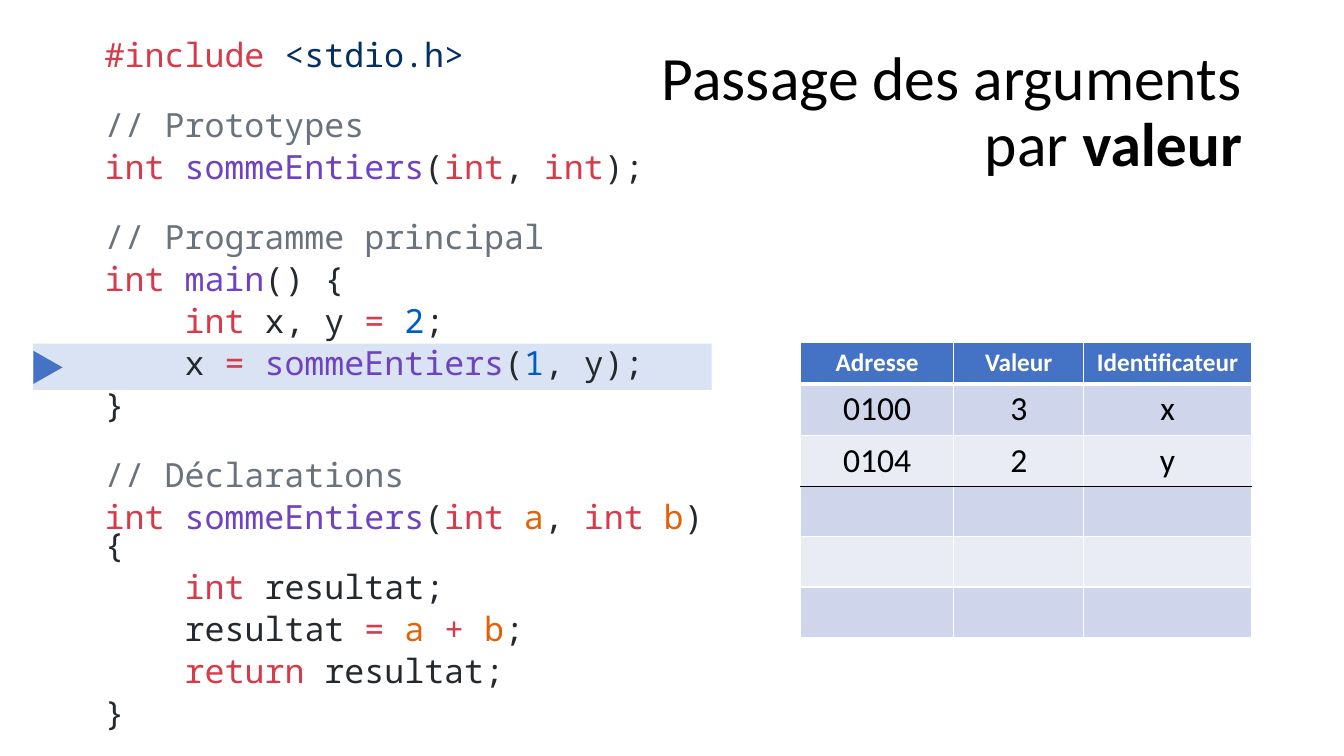
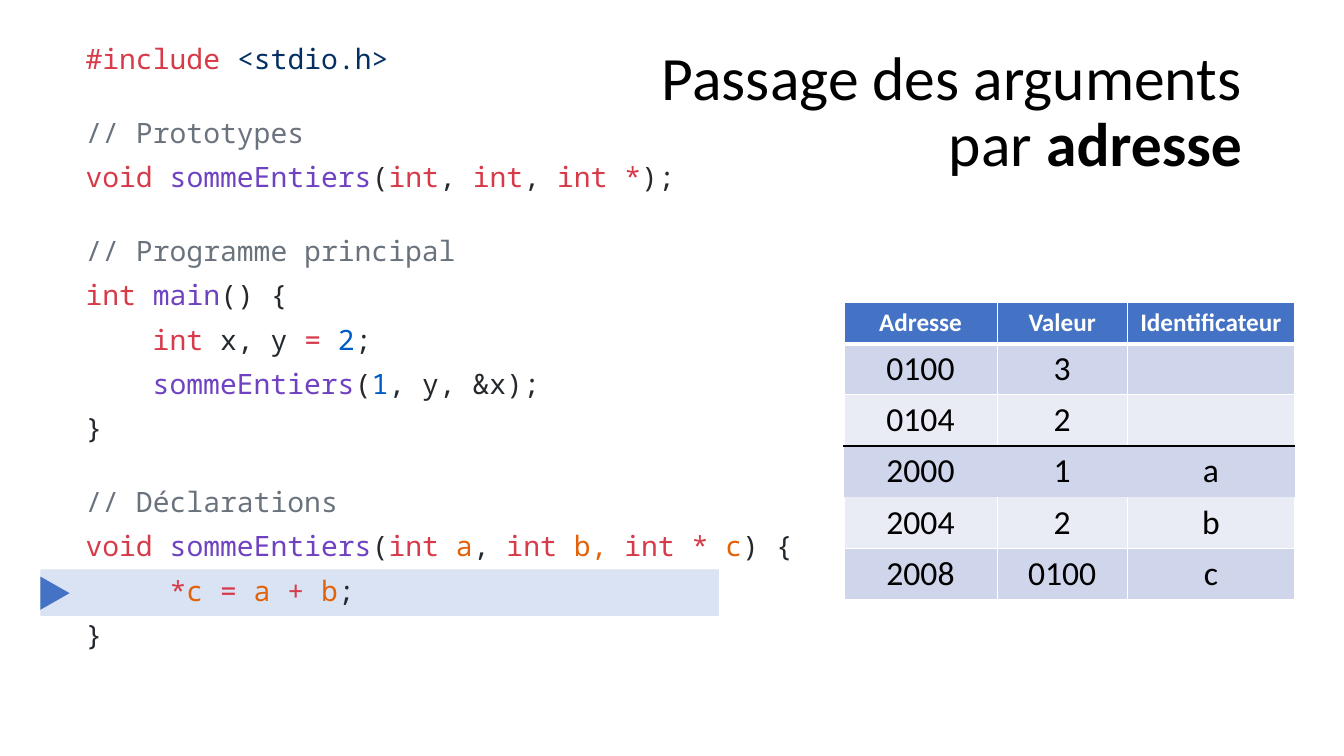
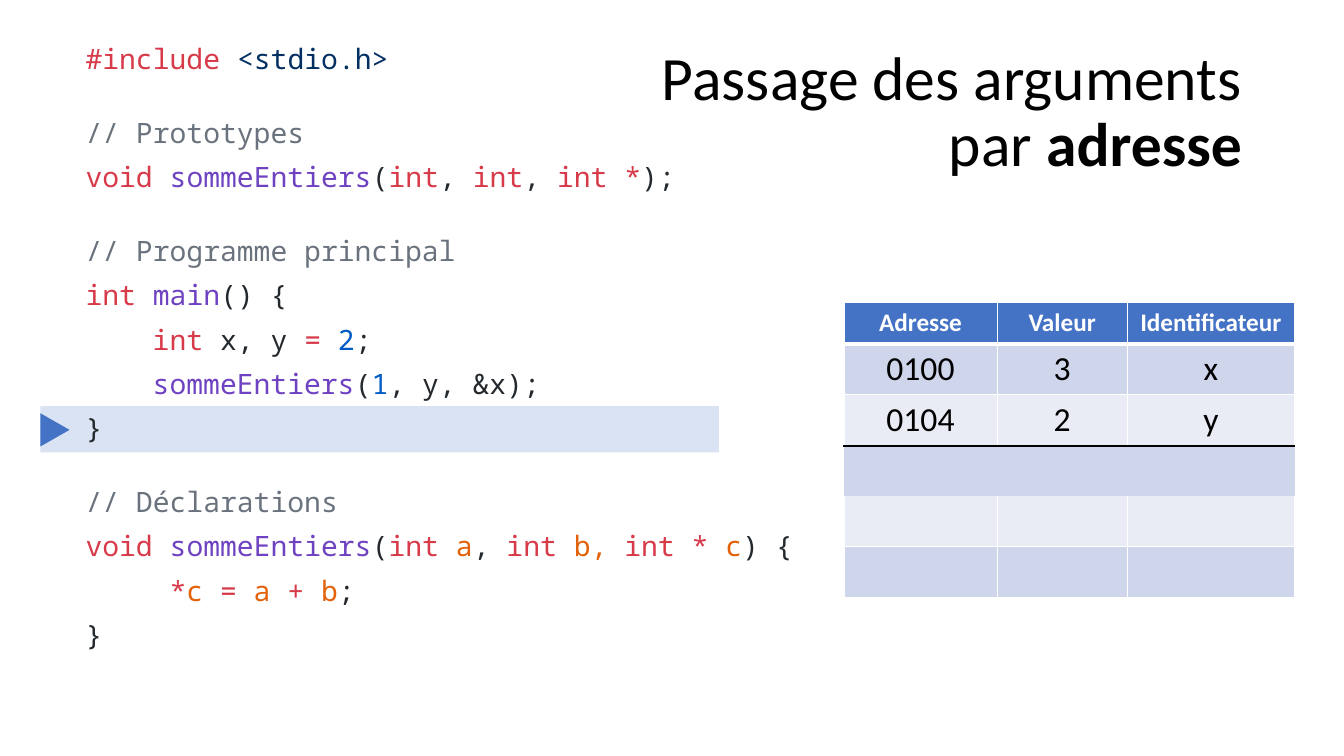
from lxml import etree
from pptx import Presentation
from pptx.dml.color import RGBColor
from pptx.enum import shapes, text
from pptx.oxml import ns
from pptx.util import Inches, Pt

# Colours
BLACK, WHITE = RGBColor(0, 0, 0), RGBColor(255, 255, 255)
BLUE, HIGHLIGHT = RGBColor(0x44, 0x72, 0xC4), RGBColor(0xDA, 0xE3, 0xF3)
ROW_FILLS = RGBColor(0xCF, 0xD5, 0xEA), RGBColor(0xE9, 0xEB, 0xF5)
INK, COMMENT = RGBColor(0x24, 0x29, 0x2E), RGBColor(0x6A, 0x73, 0x7D)
KEY, FUNCTION = RGBColor(0xD7, 0x3A, 0x49), RGBColor(0x6F, 0x42, 0xC1)
STRING, NUMBER = RGBColor(0x03, 0x2F, 0x62), RGBColor(0x00, 0x5C, 0xC5)
PARAM = RGBColor(0xE3, 0x62, 0x09)
BODY_FONT, CODE_FONT = "Calibri", "Noto Sans Mono"

# Code lines: (indent in characters, spans); a plain string is ink-coloured
INT, SUM = (KEY, "int "), (FUNCTION, "sommeEntiers")
TYPE, ASSIGN, PLUS = (KEY, "int"), (KEY, "= "), (KEY, "+ ")
A, B = (PARAM, "a "), (PARAM, "b")
CLOSE = (0, ["}"])
INCLUDE = (0, [(KEY, "#include "), (STRING, "<stdio.h>")])
PROTOTYPES = (0, [(COMMENT, "// Prototypes")])
PROGRAM = [
    (0, [(COMMENT, "// Programme principal")]),
    (0, [INT, (FUNCTION, "main"), "() {"]),
    (4, [TYPE, " x, y ", ASSIGN, (NUMBER, "2"), ";"]),
]
DECLARATIONS = (0, [(COMMENT, "// Déclarations")])

VALUE_CODE = [
    INCLUDE, PROTOTYPES,
    (0, [INT, SUM, "(", TYPE, ", ", TYPE, ");"]),
    *PROGRAM,
    (4, ["x ", ASSIGN, SUM, "(", (NUMBER, "1"), ", y);"]),
    CLOSE, DECLARATIONS,
    (0, [INT, SUM, "(", INT, (PARAM, "a"), ", ", INT, B, ") {"]),
    (4, [INT, "resultat;"]),
    (4, ["resultat ", ASSIGN, A, PLUS, B, ";"]),
    (4, [(KEY, "return "), "resultat;"]),
    CLOSE,
]
ADDRESS_CODE = [
    INCLUDE, PROTOTYPES,
    (0, [(KEY, "void "), SUM, "(", TYPE, ", ", TYPE, ", ", (KEY, "int *"), ");"]),
    *PROGRAM,
    (4, [SUM, "(", (NUMBER, "1"), ", y, &x);"]),
    CLOSE, DECLARATIONS,
    (0, [(KEY, "void "), SUM, "(", INT, (PARAM, "a"), ", ", INT, (PARAM, "b, "),
         (KEY, "int * "), (PARAM, "c"), ") {"]),
    (5, [(KEY, "*"), (PARAM, "c "), ASSIGN, A, PLUS, B, ";"]),
    CLOSE,
]

# Memory tables
HEADERS = ["Adresse", "Valeur", "Identificateur"]
COLUMN_WIDTHS, HEADER_HEIGHT, ROW_HEIGHT = [1.52, 1.29, 1.66], 0.41, 0.5
FRAME_ROW = 3  # first row below the black rule
EMPTY = ["", "", ""]
MAIN_MEMORY = [["0100", "3", "x"], ["0104", "2", "y"], EMPTY, EMPTY, EMPTY]
CALL_MEMORY = [["0100", "3", ""], ["0104", "2", ""], ["2000", "1", "a"],
               ["2004", "2", "b"], ["2008", "0100", "c"]]

# Layout of each kind of page
VALUE = dict(word="valeur", code=VALUE_CODE, code_at=(0.94, 0.4, 6.48, 7.01),
             size=23.8, spacing=0.7, section_gap=30, table_at=(7.94, 3.4),
             open_row=False)
ADDRESS = dict(word="adresse", code=ADDRESS_CODE, code_at=(0.75, 0.4, 8.05, 7.01),
               size=20, spacing=0.9, section_gap=31.25, table_at=(8.37, 3),
               open_row=True)
PAGES = [
    dict(VALUE, memory=MAIN_MEMORY, marker_at=(0.33, 3.41)),
    dict(ADDRESS, memory=CALL_MEMORY, marker_at=(0.4, 5.65)),
    dict(ADDRESS, memory=MAIN_MEMORY, marker_at=(0.4, 4.03)),
]


def inches(*lengths):
    return [Inches(length) for length in lengths]


def add_span(para, words, color, size, font=BODY_FONT, bold=False):
    span = para.add_run()
    span.text = words
    span.font.color.rgb = color
    for name, value in dict(size=Pt(size), name=font, bold=bold).items():
        setattr(span.font, name, value)


def set_title(page, word):
    title = page.shapes.title
    title.left, title.top, title.width, title.height = inches(5.83, 0.4, 6.59, 1.45)
    frame = title.text_frame
    frame.word_wrap = True
    frame.vertical_anchor = text.MSO_ANCHOR.MIDDLE
    para = frame.paragraphs[0]
    para.alignment, para.line_spacing = text.PP_ALIGN.RIGHT, 0.9
    add_span(para, "Passage des arguments", BLACK, 44)
    para.add_line_break()
    add_span(para, "par ", BLACK, 44)
    add_span(para, word, BLACK, 44, bold=True)


def add_marker(page, left, top):
    group = page.shapes.add_group_shape()
    kinds = shapes.MSO_SHAPE
    for kind, box, color, turn in [
        (kinds.RECTANGLE, (left, top, 6.73, 0.46), HIGHLIGHT, 0),
        (kinds.ISOSCELES_TRIANGLE, (left - 0.02, top + 0.09, 0.33, 0.29), BLUE, 90),
    ]:
        shape = group.shapes.add_shape(kind, *inches(*box))
        shape.rotation = turn
        shape.shadow.inherit = False
        shape.fill.solid()
        shape.fill.fore_color.rgb = color
        shape.line.fill.background()


def set_border(cell, side, color, width=1):
    line = etree.SubElement(cell._tc.get_or_add_tcPr(), ns.qn("a:ln" + side),
                            w=str(Pt(width)))
    if color is None:
        etree.SubElement(line, ns.qn("a:noFill"))
    else:
        fill = etree.SubElement(line, ns.qn("a:solidFill"))
        etree.SubElement(fill, ns.qn("a:srgbClr"), val=str(color))


def cell_borders(row, open_row):
    borders = {side: (WHITE, 1) for side in "LRTB"}
    if open_row and row == FRAME_ROW:
        borders = {side: (None, 1) for side in "LRTB"}
    if row == 0:
        borders["B"] = (WHITE, 3)
    if row == 1:
        borders["T"] = (WHITE, 3)
    if row == FRAME_ROW - 1:
        borders["B"] = (BLACK, 1)
    if row == FRAME_ROW:
        borders["T"] = (BLACK, 1)
    if open_row and row == FRAME_ROW + 1:
        borders["T"] = (None, 1)
    return borders


def add_memory(page, at, memory, open_row):
    rows = [HEADERS] + memory
    heights = [HEADER_HEIGHT] + [ROW_HEIGHT] * len(memory)
    size = sum(COLUMN_WIDTHS), sum(heights)
    table = page.shapes.add_table(len(rows), len(HEADERS), *inches(*at, *size)).table
    table.horz_banding = False
    for column, width in zip(table.columns, COLUMN_WIDTHS):
        column.width = Inches(width)
    for r, (values, height) in enumerate(zip(rows, heights)):
        table.rows[r].height = Inches(height)
        for c, value in enumerate(values):
            cell = table.cell(r, c)
            for side, (color, width) in cell_borders(r, open_row).items():
                set_border(cell, side, color, width)
            cell.fill.solid()
            cell.fill.fore_color.rgb = ROW_FILLS[(r - 1) % 2] if r else BLUE
            para = cell.text_frame.paragraphs[0]
            para.alignment = text.PP_ALIGN.CENTER
            if value:
                add_span(para, value, BLACK if r else WHITE, 24 if r else 18,
                         bold=r == 0)


def add_code(page, at, lines, size, spacing, section_gap):
    frame = page.shapes.add_textbox(*inches(*at)).text_frame
    frame.word_wrap = True
    for i, (indent, spans) in enumerate(lines):
        para = frame.add_paragraph() if i else frame.paragraphs[0]
        starts_section = spans[0][0] == COMMENT
        para.line_spacing = spacing
        para.space_before = Pt(section_gap if starts_section else 10)
        if indent:  # one character is 0.6 em wide
            properties = para._p.get_or_add_pPr()
            properties.set("marL", str(Pt(indent * size * 0.6)))
            properties.set("indent", "0")
        for span in spans:
            color, words = (INK, span) if isinstance(span, str) else span
            add_span(para, words, color, size, CODE_FONT)


def main():
    deck = Presentation()
    deck.slide_width, deck.slide_height = inches(13.33, 7.5)
    for plan in PAGES:
        page = deck.slides.add_slide(deck.slide_layouts[5])
        add_marker(page, *plan["marker_at"])
        set_title(page, plan["word"])
        add_memory(page, plan["table_at"], plan["memory"], plan["open_row"])
        add_code(page, plan["code_at"], plan["code"], plan["size"],
                 plan["spacing"], plan["section_gap"])
    deck.save("out.pptx")


if __name__ == "__main__":
    main()
